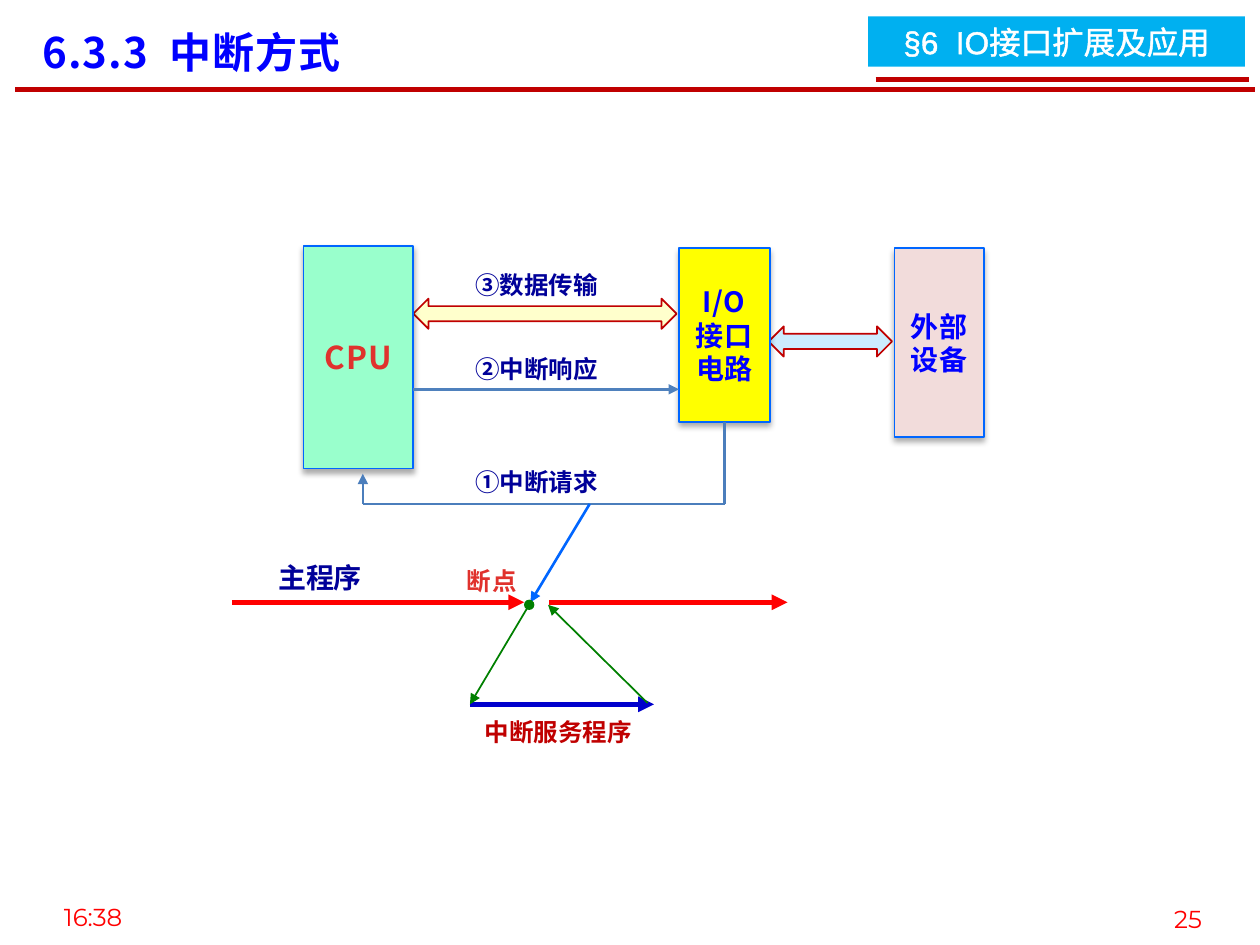
from lxml.etree import SubElement
from pptx import Presentation
from pptx.dml.color import RGBColor
from pptx.enum.shapes import MSO_CONNECTOR, MSO_SHAPE
from pptx.enum.text import MSO_ANCHOR, MSO_AUTO_SIZE, PP_ALIGN
from pptx.oxml import parse_xml
from pptx.oxml.ns import nsdecls, qn
from pptx.util import Inches, Pt

WHITE = RGBColor(0xFF, 0xFF, 0xFF)
RED = RGBColor(0xFF, 0x00, 0x00)
DARK_RED = RGBColor(0xC0, 0x00, 0x00)
CORAL = RGBColor(0xE0, 0x32, 0x2D)
BRICK = RGBColor(0xA2, 0x20, 0x1C)
SKY = RGBColor(0x00, 0xB0, 0xF0)
BLUE = RGBColor(0x00, 0x00, 0xFF)
NAVY = RGBColor(0x00, 0x00, 0x99)
DEEP_BLUE = RGBColor(0x00, 0x00, 0xCC)
BORDER_BLUE = RGBColor(0x00, 0x66, 0xFF)
STEEL = RGBColor(0x4B, 0x7E, 0xBC)
RESPONSE_BLUE = RGBColor(0x4F, 0x81, 0xBD)
GREEN = RGBColor(0x00, 0x80, 0x00)
MINT = RGBColor(0x99, 0xFF, 0xCC)
YELLOW = RGBColor(0xFF, 0xFF, 0x00)
PINK = RGBColor(0xF2, 0xDC, 0xDB)
CREAM = RGBColor(0xFF, 0xFF, 0xCC)
PALE_BLUE = RGBColor(0xCC, 0xEC, 0xFF)

CJK = "Noto Sans CJK SC"
TITLE = "6.3.3  中断方式"
CHAPTER = "§6  IO接口扩展及应用"
FOOTERS = [
    ("16:38", (0.23, 7.1, 1.02, 0.35)),
    ("25", (9.06, 7.12, 0.74, 0.35)),
]
UNITS = [
    ("CPU", (2.41, 1.95, 0.87, 1.77), MINT, 18, (CORAL, BRICK)),
    ("I/O接口电路", (5.39, 1.97, 0.72, 1.38), YELLOW, 16, BLUE),
    ("外部设备", (7.1, 1.97, 0.71, 1.5), PINK, 16, BLUE),
]
DATA_ARROWS = [
    ((3.28, 2.37, 2.09, 0.24), CREAM),
    ((6.1, 2.59, 0.98, 0.24), PALE_BLUE),
]
LABELS = [
    ("③数据传输", (3.67, 2.09, 1.18, 0.34), 14, NAVY, 0),
    ("②中断响应", (3.67, 2.76, 1.18, 0.34), 14, NAVY, 0),
    ("①中断请求", (3.67, 3.66, 1.18, 0.34), 14, NAVY, 0),
    ("主程序", (2.1, 4.4, 0.88, 0.37), 16, NAVY, 0),
    ("中断服务程序", (3.74, 5.64, 1.38, 0.34), 14, DARK_RED, 0),
    ("断点", (3.6, 4.44, 0.61, 0.34), 14, (CORAL, BRICK), 0.5),
]
RULES = [
    ((0.12, 0.71), (9.96, 0.71), DARK_RED, 3, None, None),
    ((6.95, 0.63), (9.91, 0.63), DARK_RED, 3, None, None),
]
REQUEST_DROP = ((5.75, 3.35), (5.75, 4), STEEL, 1.5, None, None)
SIGNALS = [
    ((2.88, 4), (2.88, 3.76), STEEL, 1.5, None, "triangle"),
    ((5.75, 4), (2.88, 4), STEEL, 1.5, None, None),
    ((3.28, 3.09), (5.39, 3.09), RESPONSE_BLUE, 1.5, None, "triangle"),
    ((4.68, 4), (4.21, 4.78), BORDER_BLUE, 1.5, None, "triangle"),
    ((1.84, 4.78), (4.16, 4.78), RED, 3, None, "triangle"),
    ((4.36, 4.78), (6.25, 4.78), RED, 3, None, "triangle"),
    ((3.73, 5.59), (5.19, 5.59), DEEP_BLUE, 3, None, "triangle"),
    ((4.2, 4.8), (3.73, 5.59), GREEN, 1, "oval", "triangle"),
    ((5.14, 5.58), (4.35, 4.8), GREEN, 1, None, "triangle"),
]


def write(shape, text, size, color, font=CJK, bold=True, spacing=0,
          align=PP_ALIGN.CENTER, anchor=MSO_ANCHOR.MIDDLE, wrap=True):
    frame = shape.text_frame
    frame.text = text
    frame.word_wrap = wrap
    frame.vertical_anchor = anchor
    frame.auto_size = MSO_AUTO_SIZE.NONE if wrap else MSO_AUTO_SIZE.SHAPE_TO_FIT_TEXT
    para = frame.paragraphs[0]
    para.alignment = align
    span = para.runs[0]
    span.font.size = Pt(size)
    span.font.bold = bold
    span.font.name = font
    if isinstance(color, RGBColor):
        span.font.color.rgb = color
    else:
        fill = span.font.fill
        fill.gradient()
        fill.gradient_angle = 270
        for stop, stop_color, position in zip(fill.gradient_stops, color, (0.25, 1)):
            stop.color.rgb = stop_color
            stop.position = position
    properties = span.font._element
    SubElement(properties, qn("a:ea")).set("typeface", font)
    if spacing:
        properties.set("spc", str(int(spacing * 100)))
    return span


def add_text(page, place, *args, **options):
    box = page.shapes.add_textbox(*map(Inches, place))
    write(box, *args, **options)


def add_block(page, kind, place, fill, border=None):
    shape = page.shapes.add_shape(kind, *map(Inches, place))
    shape.shadow.inherit = False
    shape.fill.solid()
    shape.fill.fore_color.rgb = fill
    if border is None:
        shape.line.fill.background()
    else:
        shape.line.color.rgb = border
        shape.line.width = Pt(1)
    return shape


def add_soft_shadow(shape):
    effects = shape._element.spPr.find(qn("a:effectLst"))
    effects.append(parse_xml(
        f'<a:outerShdw {nsdecls("a")} blurRad="{Pt(3.5)}" dist="{Pt(2.2)}" '
        'dir="5400000" rotWithShape="0"><a:srgbClr val="000000">'
        '<a:alpha val="32000"/></a:srgbClr></a:outerShdw>'))


def add_line(page, start, end, color, width, head, tail):
    line = page.shapes.add_connector(
        MSO_CONNECTOR.STRAIGHT, *map(Inches, start + end))
    line.line.color.rgb = color
    line.line.width = Pt(width)
    outline = line.line._get_or_add_ln()
    for tag, ending in (("a:headEnd", head), ("a:tailEnd", tail)):
        if ending:
            SubElement(outline, qn(tag)).set("type", ending)
    SubElement(line._element.spPr, qn("a:effectLst"))
    return line


def main():
    deck = Presentation()
    deck.slide_width, deck.slide_height = Inches(10), Inches(7.5)
    page = deck.slides.add_slide(deck.slide_layouts[5])

    title = page.shapes.title
    title.left, title.top, title.width, title.height = map(
        Inches, (0.24, 0.16, 2.8, 0.5))
    write(title, TITLE, 24, BLUE, spacing=0.5, align=PP_ALIGN.LEFT,
          anchor=MSO_ANCHOR.TOP)
    title.text_frame.margin_right = 0

    for text, place in FOOTERS:
        add_text(page, place, text, 14, RED, font="Montserrat", bold=False)
    for rule in RULES:
        add_line(page, *rule)
    banner = add_block(page, MSO_SHAPE.RECTANGLE, (6.89, 0.13, 2.99, 0.4), SKY)
    span = write(banner, CHAPTER, 18, WHITE, font="Arial", bold=False)
    span.font._element.insert(0, parse_xml(
        f'<a:ln {nsdecls("a")} w="{Pt(1.45)}"><a:solidFill>'
        f'<a:srgbClr val="{WHITE}"/></a:solidFill></a:ln>'))

    for place, fill in DATA_ARROWS:
        add_block(page, MSO_SHAPE.LEFT_RIGHT_ARROW, place, fill, DARK_RED)
    units = {}
    for text, place, fill, size, color in UNITS:
        units[text] = add_block(page, MSO_SHAPE.RECTANGLE, place, fill, BORDER_BLUE)
        add_soft_shadow(units[text])
        write(units[text], text, size, color, spacing=0.5)

    drop = add_line(page, *REQUEST_DROP)
    drop.begin_connect(units["I/O接口电路"], 2)
    for signal in SIGNALS:
        add_line(page, *signal)
    for text, place, size, color, spacing in LABELS:
        add_text(page, place, text, size, color, spacing=spacing,
                 anchor=MSO_ANCHOR.TOP, wrap=False)

    deck.save("out.pptx")


if __name__ == "__main__":
    main()
